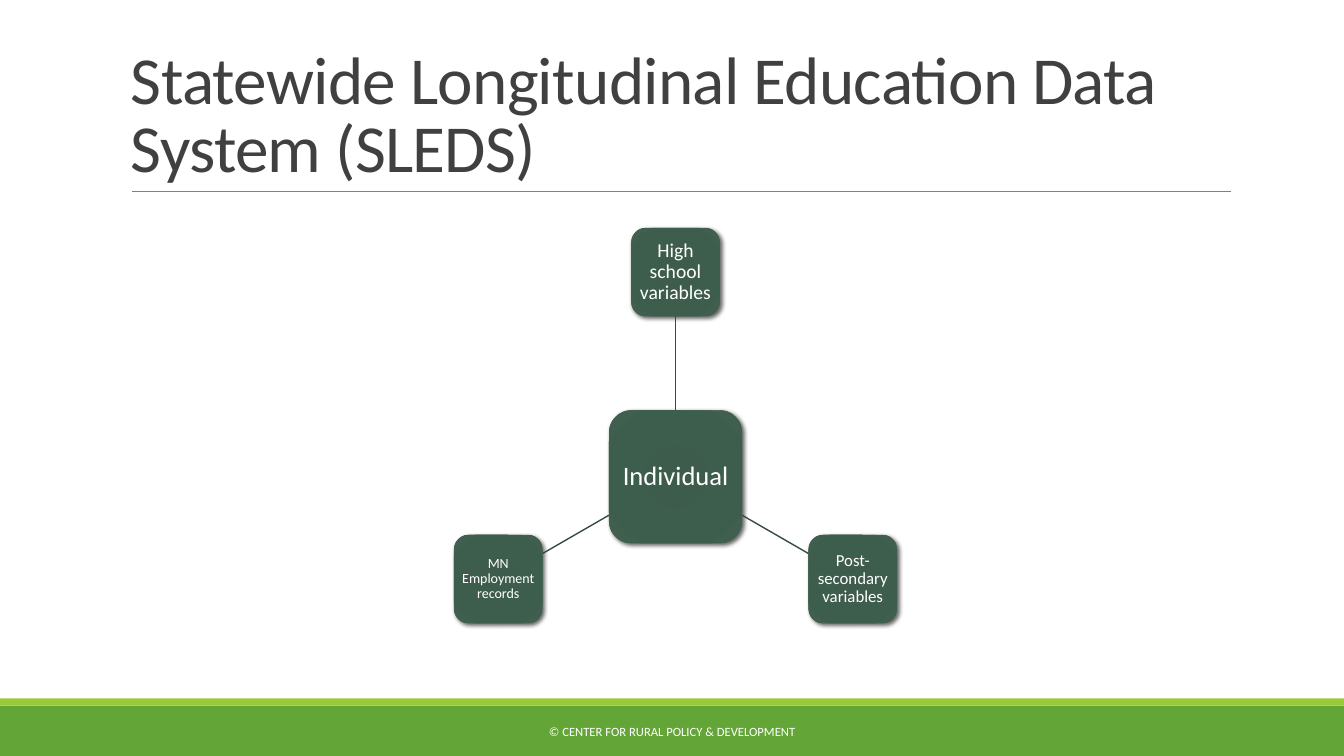
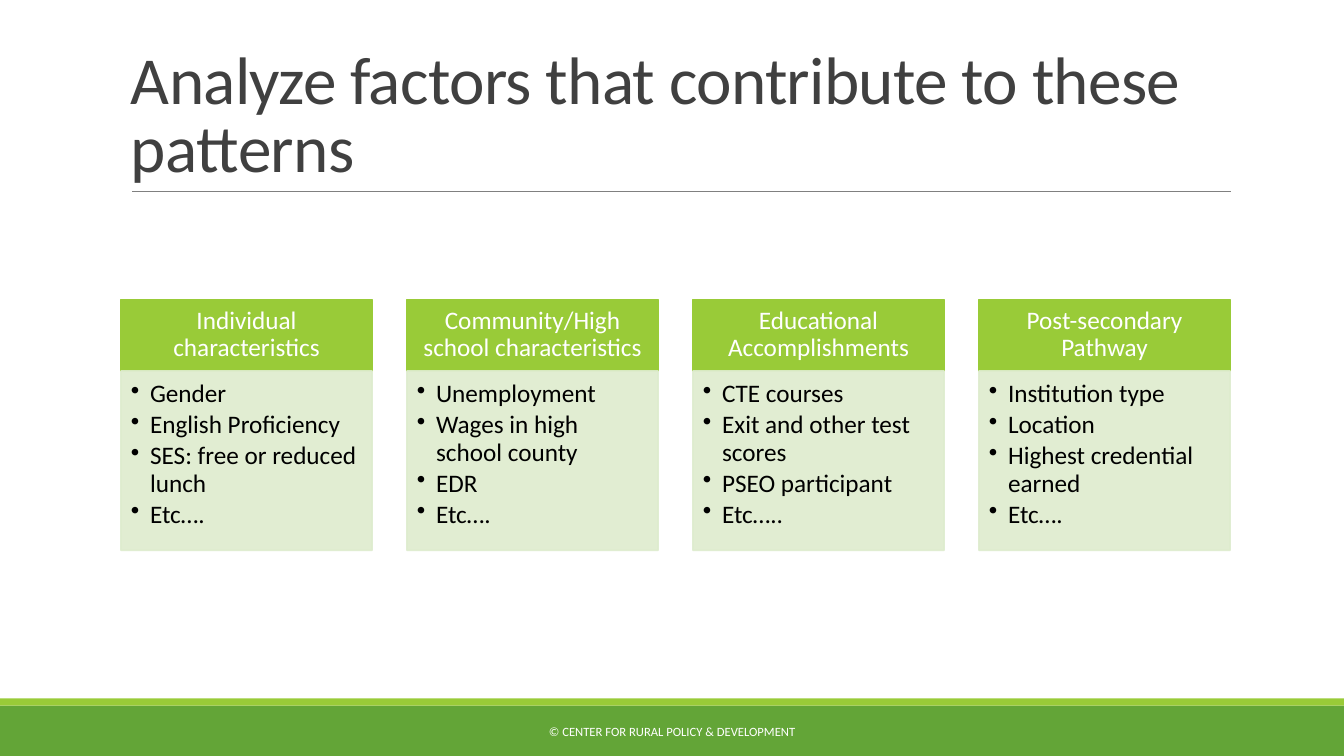
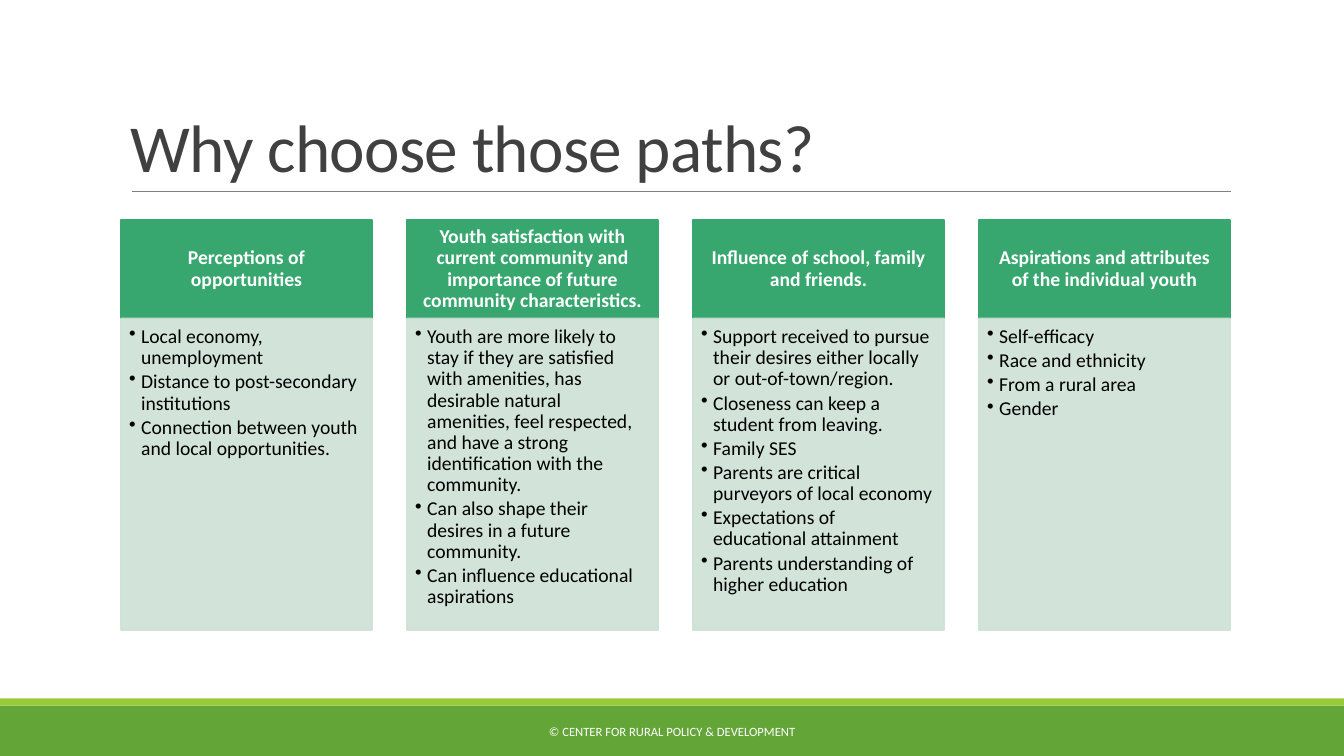
from dataclasses import dataclass
from math import cos, radians, sin

from lxml import etree
from pptx import Presentation
from pptx.dml.color import RGBColor
from pptx.enum.shapes import MSO_CONNECTOR, MSO_SHAPE
from pptx.enum.text import MSO_ANCHOR, PP_ALIGN
from pptx.oxml import parse_xml
from pptx.oxml.ns import nsdecls, qn
from pptx.shapes.autoshape import Shape
from pptx.shapes.connector import Connector
from pptx.slide import Slide
from pptx.util import Inches, Pt

FONT = "Calibri"
COLORS = {
    "lime": "99CB38",
    "green": "63A537",
    "teal": "37A76F",
    "pale lime": "DEECCE",
    "pale teal": "CEE1D5",
    "title": "404040",
    "rule": "808080",
    "link": "374C41",
    "white": "FFFFFF",
    "black": "000000",
}
SLIDE_WIDTH, SLIDE_HEIGHT = 13.33, 7.5
CONTENT_LEFT, CONTENT_WIDTH = 1.2, 11
COLUMN_WIDTH = 2.49

NODE_GRADIENT = f"""<a:gradFill {nsdecls("a")}><a:gsLst>
<a:gs pos="0"><a:srgbClr val="3D5C4B"/></a:gs>
<a:gs pos="34000"><a:srgbClr val="3E5C4C"/></a:gs>
<a:gs pos="70000"><a:srgbClr val="3E5E4D"/></a:gs>
<a:gs pos="100000"><a:srgbClr val="446051"/></a:gs></a:gsLst>
<a:path path="circle"><a:fillToRect l="100000" t="100000" r="100000" b="100000"/></a:path>
</a:gradFill>"""
NODE_SHADOW = f"""<a:effectLst {nsdecls("a")}>
<a:outerShdw blurRad="38100" dist="25400" dir="2700000" rotWithShape="0">
<a:srgbClr val="000000"><a:alpha val="60000"/></a:srgbClr></a:outerShdw></a:effectLst>"""


@dataclass(frozen=True)
class Area:
    left: float
    top: float
    width: float
    height: float

    def lengths(self) -> list[Inches]:
        return [Inches(v) for v in (self.left, self.top, self.width, self.height)]


@dataclass(frozen=True)
class TextStyle:
    size: float
    color: str
    bold: bool = False
    align: PP_ALIGN = PP_ALIGN.LEFT
    anchor: MSO_ANCHOR = MSO_ANCHOR.MIDDLE
    insets: tuple[float, float, float, float] = (0.1, 0.05, 0.1, 0.05)
    line_spacing: float = 0.9
    tracking: float = 0
    bullet_indent: float = 0


@dataclass(frozen=True)
class Node:
    text: str
    size: float
    inset: float
    angle: float = 0


@dataclass(frozen=True)
class Column:
    heading: str
    points: list[str]


@dataclass(frozen=True)
class ColumnStyle:
    top: float
    heading_height: float
    body_height: float
    heading_color: str
    body_color: str
    heading_text: TextStyle
    body_text: TextStyle


TITLE = TextStyle(48, "title", anchor=MSO_ANCHOR.BOTTOM, line_spacing=0.85, tracking=-0.5)
FOOTER = TextStyle(9, "white", align=PP_ALIGN.CENTER, line_spacing=1)

HUB_CENTER = (6.7, 4.73)
HUB_SIZE, NODE_SIZE, NODE_DISTANCE = 1.32, 0.88, 2.03
HUB = Node("Individual", 19, 0.05)
NODES = [
    Node("High school variables", 14, 0.04, -90),
    Node("Post-secondary variables", 12, 0.03, 30),
    Node("MN Employment records", 10, 0.03, 150),
]

FACTOR_STYLE = ColumnStyle(
    2.97, 0.71, 1.78, "lime", "pale lime",
    TextStyle(18, "white", align=PP_ALIGN.CENTER, insets=(0.14, 0.08, 0.14, 0.08)),
    TextStyle(18, "black", anchor=MSO_ANCHOR.TOP, insets=(0.1, 0.1, 0.14, 0.16),
              bullet_indent=0.19),
)
FACTORS = [
    Column("Individual characteristics",
           ["Gender", "English Proficiency", "SES: free or reduced lunch", "Etc…."]),
    Column("Community/High school characteristics",
           ["Unemployment", "Wages in high school county", "EDR", "Etc…."]),
    Column("Educational Accomplishments",
           ["CTE courses", "Exit and other test scores", "PSEO participant", "Etc….."]),
    Column("Post-secondary Pathway",
           ["Institution type", "Location", "Highest credential earned", "Etc…."]),
]

REASON_STYLE = ColumnStyle(
    2.18, 0.98, 3.09, "teal", "pale teal",
    TextStyle(14, "white", bold=True, align=PP_ALIGN.CENTER, insets=(0.11, 0.06, 0.11, 0.06)),
    TextStyle(14, "black", anchor=MSO_ANCHOR.TOP, insets=(0.08, 0.08, 0.11, 0.12),
              bullet_indent=0.12),
)
REASONS = [
    Column("Perceptions of opportunities", [
        "Local economy, unemployment",
        "Distance to post-secondary institutions",
        "Connection between youth and local opportunities.",
    ]),
    Column("Youth satisfaction with current community and importance of future "
           "community characteristics.", [
               "Youth are more likely to stay if they are satisfied with amenities, has "
               "desirable natural amenities, feel respected, and have a strong "
               "identification with the community.",
               "Can also shape their desires in a future community.",
               "Can influence educational aspirations",
           ]),
    Column("Influence of school, family and friends.", [
        "Support received to pursue their desires either locally or out-of-town/region.",
        "Closeness can keep a student from leaving.",
        "Family SES",
        "Parents are critical purveyors of local economy",
        "Expectations of educational attainment",
        "Parents understanding of higher education",
    ]),
    Column("Aspirations and attributes of the individual youth",
           ["Self-efficacy", "Race and ethnicity", "From a rural area", "Gender"]),
]


def rgb(name: str) -> RGBColor:
    return RGBColor.from_string(COLORS[name])


def write(shape: Shape, lines: list[str], style: TextStyle) -> None:
    """Fill a shape with one paragraph per line."""
    frame = shape.text_frame
    frame.word_wrap = True
    frame.vertical_anchor = style.anchor
    (frame.margin_left, frame.margin_top,
     frame.margin_right, frame.margin_bottom) = map(Inches, style.insets)
    frame.text = "\n".join(lines)
    for para in frame.paragraphs:
        if style.bullet_indent:
            indent = Inches(style.bullet_indent)
            properties = para._p.get_or_add_pPr()
            properties.set("marL", str(indent))
            properties.set("indent", str(-indent))
            etree.SubElement(properties, qn("a:buChar")).set("char", "•")
            para.space_after = Pt(0.15 * style.size)
        para.alignment = style.align
        para.line_spacing = style.line_spacing
        for span in para.runs:
            span.font.name = FONT
            span.font.size = Pt(style.size)
            span.font.bold = style.bold
            span.font.color.rgb = rgb(style.color)
            if style.tracking:
                span._r.get_or_add_rPr().set("spc", str(round(style.tracking * 100)))


def add_text(page: Slide, area: Area, text: str, style: TextStyle) -> None:
    write(page.shapes.add_textbox(*area.lengths()), [text], style)


def add_box(page: Slide, area: Area, color: str, outlined: bool = False) -> Shape:
    box = page.shapes.add_shape(MSO_SHAPE.RECTANGLE, *area.lengths())
    box.shadow.inherit = False
    box.fill.solid()
    box.fill.fore_color.rgb = rgb(color)
    if outlined:
        box.line.color.rgb = rgb(color)
        box.line.width = Pt(1.25)
    else:
        box.line.fill.background()
    return box


def add_line(page: Slide, start: tuple[float, float], end: tuple[float, float],
             color: str, width: float) -> Connector:
    line = page.shapes.add_connector(MSO_CONNECTOR.STRAIGHT, *map(Inches, (*start, *end)))
    line.line.color.rgb = rgb(color)
    line.line.width = Pt(width)
    etree.SubElement(line._element.spPr, qn("a:effectLst"))
    return line


def add_page(deck: Presentation, title: str) -> Slide:
    """Add a slide with the shared title, rule, bands and footer."""
    page = deck.slides.add_slide(deck.slide_layouts[6])
    add_box(page, Area(0, 7, SLIDE_WIDTH, 0.5), "green")
    add_box(page, Area(0, 6.93, SLIDE_WIDTH, 0.07), "lime")
    add_line(page, (1.31, 1.9), (12.21, 1.9), "rule", 0.5)
    add_text(page, Area(CONTENT_LEFT, 0.31, CONTENT_WIDTH, 1.59), title, TITLE)
    add_text(page, Area(4.03, 7.06, 5.27, 0.4),
             "© CENTER FOR RURAL POLICY & DEVELOPMENT", FOOTER)
    return page


def add_node(page: Slide, node: Node, center: tuple[float, float], size: float) -> Shape:
    area = Area(center[0] - size / 2, center[1] - size / 2, size, size)
    shape = page.shapes.add_shape(MSO_SHAPE.ROUNDED_RECTANGLE, *area.lengths())
    shape.line.fill.background()
    properties = shape._element.spPr
    properties.insert(2, parse_xml(NODE_GRADIENT))
    properties.append(parse_xml(NODE_SHADOW))
    write(shape, [node.text],
          TextStyle(node.size, "white", align=PP_ALIGN.CENTER, insets=(node.inset,) * 4))
    return shape


def add_hub_diagram(page: Slide) -> None:
    hub = add_node(page, HUB, HUB_CENTER, HUB_SIZE)
    for node in NODES:
        across, down = cos(radians(node.angle)), sin(radians(node.angle))

        def along(distance: float) -> tuple[float, float]:
            return HUB_CENTER[0] + distance * across, HUB_CENTER[1] + distance * down

        shape = add_node(page, node, along(NODE_DISTANCE), NODE_SIZE)
        reach = 2 * max(abs(across), abs(down))
        link = add_line(page, along(HUB_SIZE / reach),
                        along(NODE_DISTANCE - NODE_SIZE / reach), "link", 1)
        if node.angle == -90:
            link.begin_connect(hub, 0)
            link.end_connect(shape, 2)


def add_columns(page: Slide, columns: list[Column], style: ColumnStyle) -> None:
    pitch = (CONTENT_WIDTH - COLUMN_WIDTH) / (len(columns) - 1)
    for index, column in enumerate(columns):
        left = CONTENT_LEFT + index * pitch
        heading = add_box(page, Area(left, style.top, COLUMN_WIDTH, style.heading_height),
                          style.heading_color, outlined=True)
        write(heading, [column.heading], style.heading_text)
        body = add_box(page, Area(left, style.top + style.heading_height,
                                  COLUMN_WIDTH, style.body_height),
                       style.body_color, outlined=True)
        for color in body._element.spPr.iter(qn("a:srgbClr")):
            etree.SubElement(color, qn("a:alpha")).set("val", "90000")
        write(body, column.points, style.body_text)


def main() -> None:
    deck = Presentation()
    deck.slide_width, deck.slide_height = Inches(SLIDE_WIDTH), Inches(SLIDE_HEIGHT)
    add_hub_diagram(add_page(deck, "Statewide Longitudinal Education Data System (SLEDS)"))
    add_columns(add_page(deck, "Analyze factors that contribute to these patterns"),
                FACTORS, FACTOR_STYLE)
    add_columns(add_page(deck, "Why choose those paths?"), REASONS, REASON_STYLE)
    deck.save("out.pptx")


if __name__ == "__main__":
    main()
